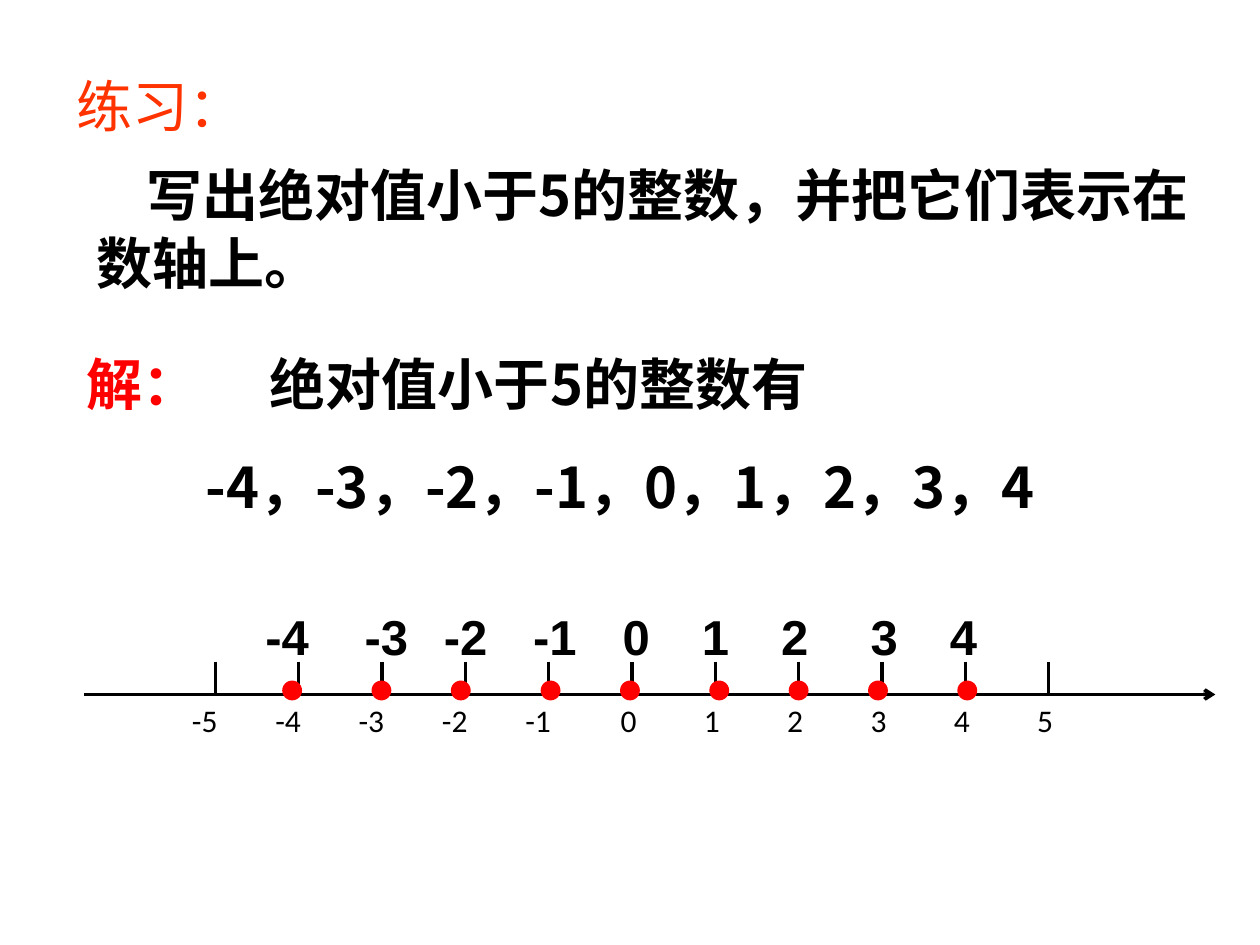
from lxml.etree import SubElement as Sub
from pptx import Presentation as Deck
from pptx.dml.color import RGBColor as Rgb
from pptx.enum.shapes import MSO_CONNECTOR as Link, MSO_SHAPE as Form
from pptx.enum.text import MSO_AUTO_SIZE as Fit
from pptx.oxml.ns import qn
from pptx.util import Cm, Pt

CJK = "Noto Sans CJK SC"
BLACK, RED, ORANGE = "000000", "FF0000", "FF3300"
HEAD = dict(name=CJK, size=Pt(32), bold=False)
BODY = dict(name=CJK, size=Pt(32), bold=True)
MARK = dict(name="Arial", size=Pt(32), bold=True)
ROOT = dict(name="Arial", size=Pt(28), bold=True)
TICK = dict(name="Calibri", size=Pt(18), bold=False)
AXIS, STEP, ZERO = 14, 1.68, 12.74
POINTS = [
    (-4, 5.69, 5.1, 1.4), (-3, 7.49, 7.1, 1.4), (-2, 9.09, 8.7, 1.6),
    (-1, 10.9, 10.5, 1.4), (0, 12.5, 12.3, 1), (1, 14.3, 13.9, 1.6),
    (2, 15.9, 15.5, 1.2), (3, 17.5, 17.3, 0.8), (4, 19.3, 18.9, 1.2),
]


def paint(hue):
    """Turn a hex string into a colour."""
    return Rgb.from_string(hue)


def write(shapes, lines, rect, form, hue=BLACK, dent=0):
    """Add a text box whose first line may be indented."""
    box = shapes.add_textbox(*map(Cm, rect))
    frame = box.text_frame
    frame.word_wrap = True
    frame.auto_size = Fit.NONE
    for rank, line in enumerate(lines):
        para = frame.paragraphs[0] if rank == 0 else frame.add_paragraph()
        run = para.add_run()
        run.text = line
        for key, value in form.items():
            setattr(run.font, key, value)
        run.font.color.rgb = paint(hue)
        face = CJK if form["name"] == "Arial" else form["name"]
        Sub(run.font._element, qn("a:ea")).set("typeface", face)
        if rank:
            para.space_before = Pt(20)
        elif dent:
            props = para._p.get_or_add_pPr()
            props.set("marL", "0")
            props.set("indent", str(Cm(dent)))


def rule(shapes, start, end, arrow=False):
    """Draw a black line, with an arrowhead if asked."""
    line = shapes.add_connector(Link.STRAIGHT, *map(Cm, start + end))
    line.line.color.rgb = paint(BLACK)
    line.line.width = Pt(2)
    if arrow:
        Sub(line.line._get_or_add_ln(), qn("a:tailEnd")).set("type", "arrow")
    Sub(line._element.spPr, qn("a:effectLst"))


def scale(shapes):
    """Draw the number line with its ticks and numbers."""
    rule(shapes, (1.7, AXIS), (24.5, AXIS), arrow=True)
    for num in range(-5, 6):
        left = ZERO + STEP * num
        rule(shapes, (left, 13.34), (left, AXIS))
        back, wide = (0.72, 1.45) if num < 0 else (0.48, 0.97)
        write(shapes, [str(num)], (left - back, AXIS, wide, 1.02), TICK)


def dot(shapes, left):
    """Put a red dot on the number line."""
    disc = shapes.add_shape(Form.FLOWCHART_CONNECTOR,
                            *map(Cm, (left, 13.72, 0.4, 0.4)))
    disc.shadow.inherit = False
    disc.fill.solid()
    disc.fill.fore_color.rgb = paint(RED)
    disc.line.fill.background()


def main():
    """Build and save the slide."""
    deck = Deck()
    deck.slide_width, deck.slide_height = Cm(25.4), Cm(19.05)
    shapes = deck.slides.add_slide(deck.slide_layouts[6]).shapes
    write(shapes, ["写出绝对值小于5的整数，并把它们表示在数轴上。"],
          (1.7, 3.12, 23.22, 2.97), BODY, dent=1)
    write(shapes, ["练习："], (1.3, 1.32, 6.15, 1.4), HEAD, ORANGE)
    scale(shapes.add_group_shape().shapes)
    for _, left, _, _ in POINTS:
        dot(shapes, left)
    write(shapes, ["解："], (1.5, 6.93, 3.81, 1.63), MARK, RED)
    write(shapes, ["绝对值小于5的整数有", "-4，-3，-2，-1，0，1，2，3，4"],
          (3.89, 6.93, 19.41, 5.03), BODY, dent=1.3)
    for num, _, left, wide in POINTS:
        write(shapes, [str(num)], (left, 12.1, wide, 1.45), ROOT)
    deck.save("out.pptx")


if __name__ == "__main__":
    main()
